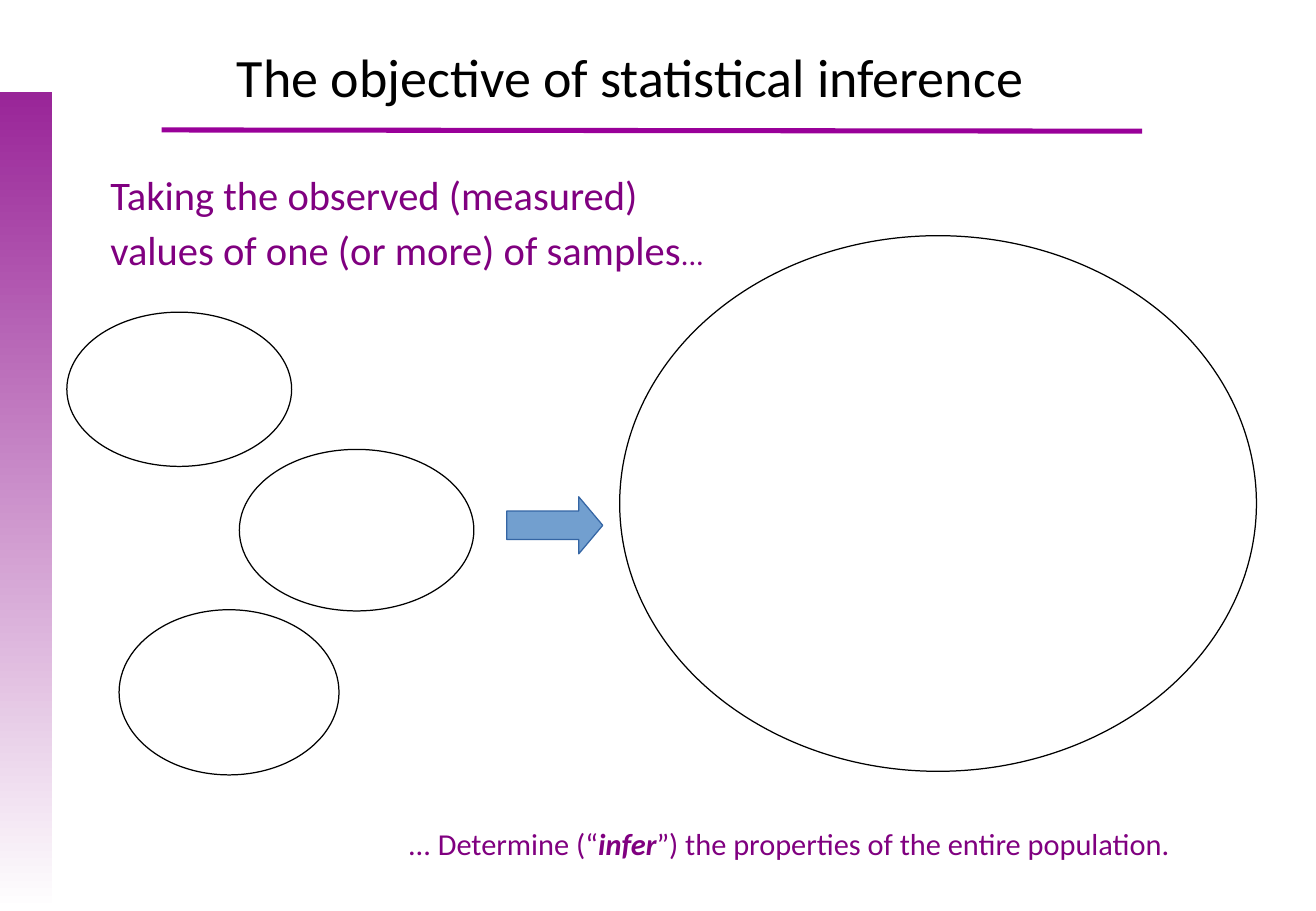
from pptx import Presentation
from pptx.dml.color import RGBColor
from pptx.enum.shapes import MSO_CONNECTOR, MSO_SHAPE
from pptx.enum.text import MSO_ANCHOR, PP_ALIGN
from pptx.oxml.ns import qn
from pptx.util import Inches, Pt
from lxml import etree

FONT = "Calibri"
COLORS = {
    "title": "000000", "text": "800080", "rule": "990099",
    "band": "992598", "paper": "FFFFFF", "outline": "000000",
    "arrow": "729FCF", "arrow_edge": "3465A4",
}
TITLE = "The objective of statistical inference"
# Each run: text, size in points, emphasised
OBSERVATION = [
    [("Taking the observed (measured)", 24, False)],
    [("values of one (or more) of samples", 24, False), ("...", 18, False)],
]
CONCLUSION = [
    [("... Determine (“", 18, False), ("infer", 18, True),
     ("”) the properties of the entire population.", 18, False)],
]
# Left, top, width, height in inches
TITLE_BOX = (1.85, 0.31, 7.74, 0.55)
OBSERVATION_BOX = (0.81, 1.4, 6, 1)
CONCLUSION_BOX = (3.26, 6.78, 7, 0.45)
BAND = (0, 0.76, 0.43, 6.74)
POPULATION = (5.1, 1.94, 5.24, 4.41)
SAMPLES = [(0.98, 5.02, 1.81, 1.36), (0.55, 2.57, 1.85, 1.27), (1.97, 3.7, 1.93, 1.33)]
ARROW = (4.17, 4.09, 0.79, 0.47)
RULE = (1.33, 1.07, 9.4, 1.08)


def inches(lengths):
    return [Inches(length) for length in lengths]


def color(name):
    return RGBColor.from_string(COLORS[name])


def add_figure(preset, box, fill=None, edge=None):
    figure = slide.shapes.add_shape(preset, *inches(box))
    figure.shadow.inherit = False
    if fill:
        figure.fill.solid()
        figure.fill.fore_color.rgb = color(fill)
    else:
        figure.fill.background()
    if edge:
        figure.line.color.rgb = color(edge)
        figure.line.width = Pt(0.75)
    else:
        figure.line.fill.background()
    return figure


def add_statement(box, lines):
    frame = slide.shapes.add_textbox(*inches(box)).text_frame
    frame.word_wrap = True
    for index, runs in enumerate(lines):
        paragraph = frame.paragraphs[0] if index == 0 else frame.add_paragraph()
        paragraph.line_spacing = 0.9
        paragraph.space_before = Pt(6.5 if index else 0)
        paragraph.font.name = FONT
        paragraph.font.color.rgb = color("text")
        for words, size, emphasised in runs:
            run = paragraph.add_run()
            run.text = words
            run.font.size = Pt(size)
            run.font.name = FONT
            run.font.color.rgb = color("text")
            if emphasised:
                run.font.bold = run.font.italic = True


presentation = Presentation()
presentation.slide_width = Inches(10.83)
presentation.slide_height = Inches(7.5)
slide = presentation.slides.add_slide(presentation.slide_layouts[5])

band = add_figure(MSO_SHAPE.RECTANGLE, BAND)
band.fill.gradient()
band.fill.gradient_angle = 270
for stop, position, name in zip(band.fill.gradient_stops, (0, 1), ("band", "paper")):
    stop.position = position
    stop.color.rgb = color(name)

rule = slide.shapes.add_connector(MSO_CONNECTOR.STRAIGHT, *inches(RULE))
rule.line.color.rgb = color("rule")
rule.line.width = Pt(3)
etree.SubElement(rule._element.spPr, qn("a:effectLst"))

title = slide.shapes.title
title.left, title.top, title.width, title.height = inches(TITLE_BOX)
title.text_frame.text = TITLE
title.text_frame.vertical_anchor = MSO_ANCHOR.TOP
heading = title.text_frame.paragraphs[0]
heading.alignment = PP_ALIGN.LEFT
heading.font.name = FONT
heading.font.size = Pt(32)
heading.font.color.rgb = color("title")

add_statement(OBSERVATION_BOX, OBSERVATION)
add_statement(CONCLUSION_BOX, CONCLUSION)

add_figure(MSO_SHAPE.OVAL, POPULATION, edge="outline")
for sample in SAMPLES:
    add_figure(MSO_SHAPE.OVAL, sample, "paper", "outline")
arrow = add_figure(MSO_SHAPE.RIGHT_ARROW, ARROW, "arrow", "arrow_edge")
arrow.adjustments[0] = 0.5
arrow.adjustments[1] = 0.42

presentation.save("out.pptx")
